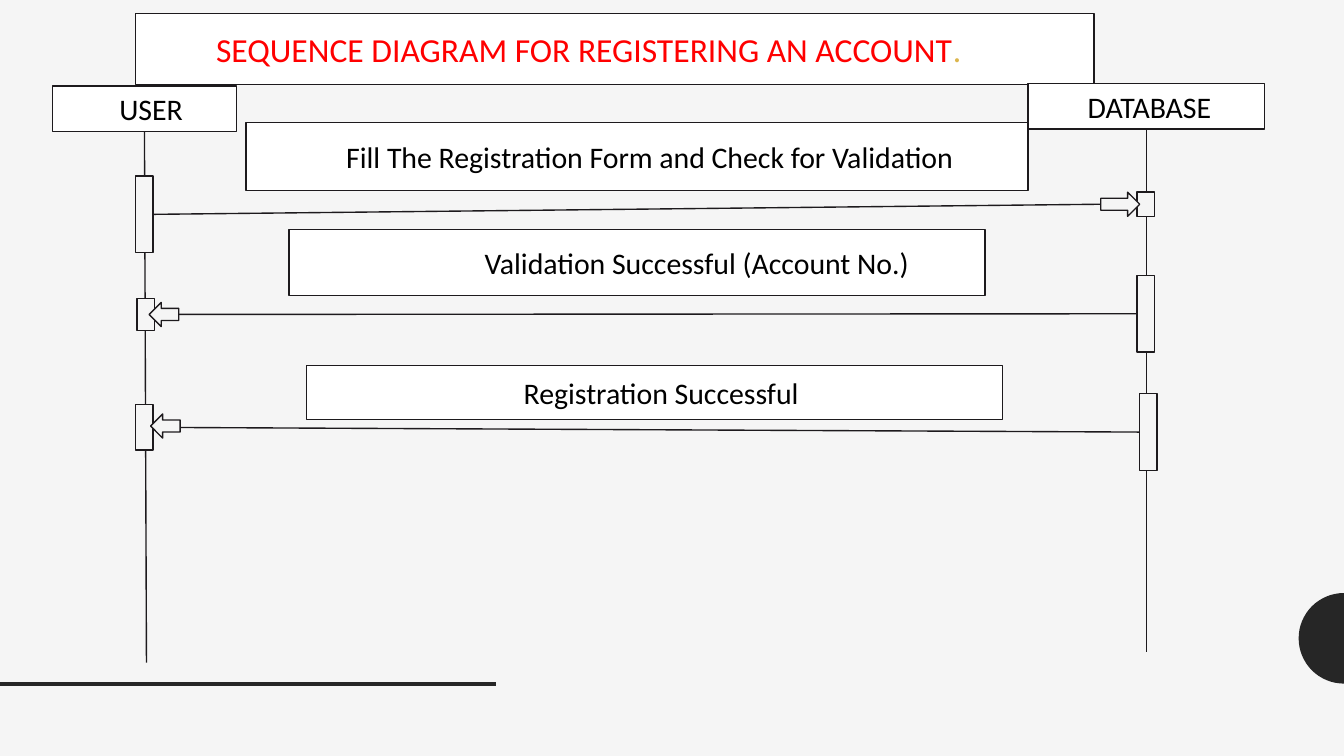
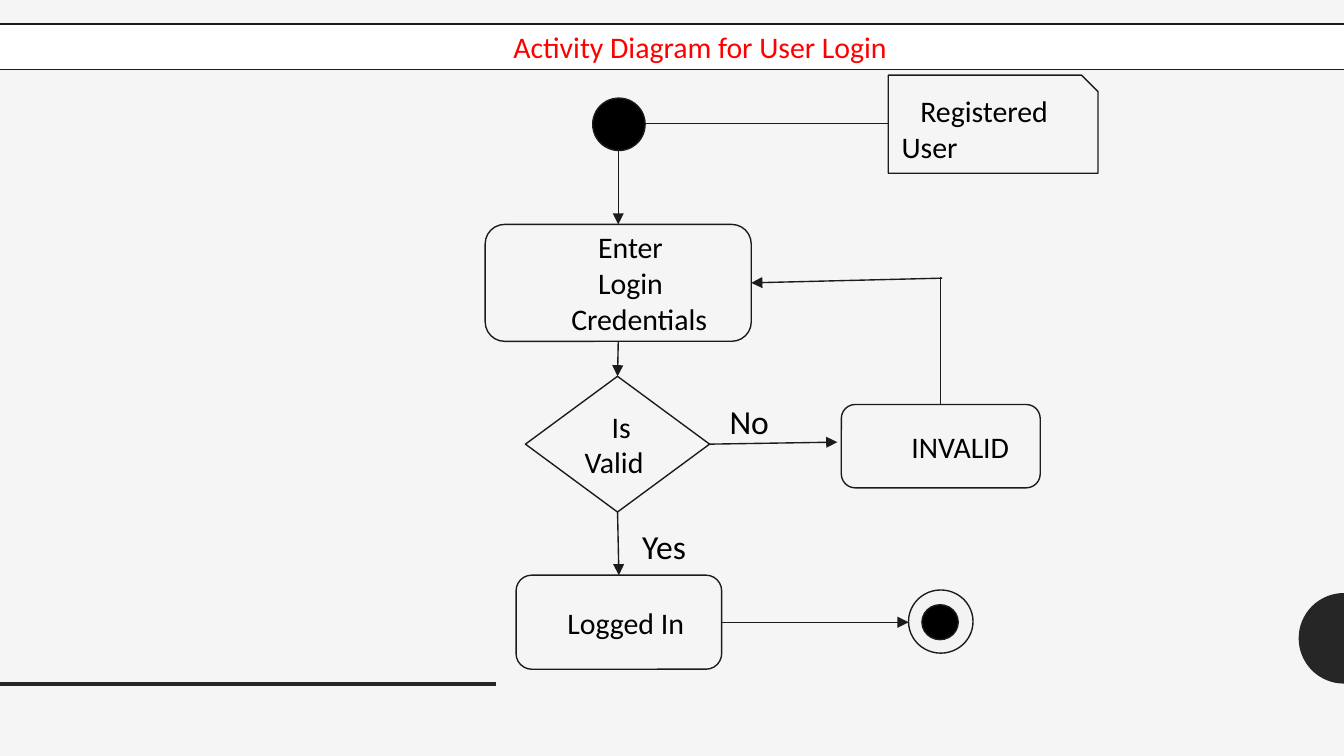
from math import cos, pi, sin

from lxml.etree import SubElement
from pptx import Presentation
from pptx.dml.color import RGBColor
from pptx.enum.shapes import MSO_CONNECTOR, MSO_SHAPE as Shape
from pptx.enum.text import MSO_ANCHOR as Anchor, PP_ALIGN as Align
from pptx.oxml.ns import qn
from pptx.util import Inches, Pt

# The grid has square cells, 100 columns by 56.25 rows
CELL = Inches(0.1)
COLUMNS, ROWS = 100, 56.25
TOP, LEFT, BOTTOM, RIGHT = range(4)

PAPER = RGBColor(0xF5, 0xF5, 0xF5)
WHITE = RGBColor(0xFF, 0xFF, 0xFF)
BLACK = RGBColor(0x00, 0x00, 0x00)
INK = RGBColor(0x1D, 0x1A, 0x1D)
BAND = RGBColor(0x26, 0x26, 0x26)
RED = RGBColor(0xFF, 0x00, 0x00)
GOLD = RGBColor(0xDC, 0xB6, 0x4D)
RING = RGBColor(0xF3, 0xF3, 0xF3)


def cells(count):
    return round(count * CELL)


class Diagram:
    """Holds the style and the slide being drawn; lengths are grid cells."""

    font = "Calibri"
    size = 16
    outline = 0.75

    def __init__(self):
        self.deck = Presentation()
        self.deck.slide_width = cells(COLUMNS)
        self.deck.slide_height = cells(ROWS)

    def new_slide(self):
        self.slide = self.deck.slides.add_slide(self.deck.slide_layouts[6])
        self.shapes = self.slide.shapes
        background = self.slide.background.fill
        background.solid()
        background.fore_color.rgb = PAPER
        self.half_disc(COLUMNS, 47.5, 3.37)
        self.line((0, 50.9), (36.9, 50.9), color=BAND, width=2)

    def half_disc(self, x, y, radius, steps=32):
        angles = [pi / 2 + pi * step / steps for step in range(steps + 1)]
        rim = [(cells(x + radius * cos(a)), cells(y + radius * sin(a))) for a in angles]
        builder = self.shapes.build_freeform(*rim[0])
        builder.add_line_segments(rim[1:], close=True)
        disc = builder.convert_to_shape()
        disc.shadow.inherit = False
        disc.fill.solid()
        disc.fill.fore_color.rgb = BAND
        disc.line.fill.background()

    def box(self, place, text=None, kind=Shape.RECTANGLE, fill=PAPER, **style):
        box = self.shapes.add_shape(kind, *map(cells, place))
        box.shadow.inherit = False
        box.fill.solid()
        box.fill.fore_color.rgb = fill
        box.line.color.rgb = INK
        box.line.width = Pt(self.outline)
        if text:
            self.add_text(box, [[(text, BLACK)]] if isinstance(text, str) else text, **style)
        return box

    def label(self, place, text, size):
        note = self.shapes.add_textbox(*map(cells, place))
        self.add_text(note, [[(text, BLACK)]], size=size, anchor=Anchor.TOP)

    def add_text(self, holder, paragraphs, size=size, align=Align.LEFT,
                 anchor=Anchor.MIDDLE, margins=(0,), first=0):
        """Fill holder with paragraphs, each a list of (text, colour) runs."""
        frame = holder.text_frame
        frame.word_wrap = True
        frame.vertical_anchor = anchor
        frame.margin_left = frame.margin_right = CELL
        frame.margin_top = frame.margin_bottom = CELL
        for index, runs in enumerate(paragraphs):
            paragraph = frame.add_paragraph() if index else frame.paragraphs[0]
            paragraph.alignment = align
            properties = paragraph._p.get_or_add_pPr()
            properties.set("marL", str(cells(margins[index % len(margins)])))
            properties.set("indent", str(cells(first)))
            for text, color in runs:
                run = paragraph.add_run()
                run.text = text
                run.font.name = self.font
                run.font.size = Pt(size)
                run.font.color.rgb = color

    def line(self, start, stop, arrow=False, color=INK, width=outline):
        """Each end is a grid point or a (shape, side) pair."""
        joined = [not isinstance(end[0], (int, float)) for end in (start, stop)]
        points = [(0, 0) if join else tuple(map(cells, end))
                  for join, end in zip(joined, (start, stop))]
        line = self.shapes.add_connector(MSO_CONNECTOR.STRAIGHT, *points[0], *points[1])
        if joined[0]:
            line.begin_connect(*start)
        if joined[1]:
            line.end_connect(*stop)
        line.line.color.rgb = color
        line.line.width = Pt(width)
        if arrow:
            SubElement(line.line._get_or_add_ln(), qn("a:tailEnd"), type="triangle")
        SubElement(line._element.spPr, qn("a:effectLst"))


def registration_sequence(draw):
    draw.new_slide()
    draw.box((10.1, 1, 71.3, 5.3),
             [[("SEQUENCE DIAGRAM FOR REGISTERING AN ACCOUNT", RED), (".", GOLD)]],
             fill=WHITE, size=18, margins=(5,))

    # Participants and their lifelines
    user = draw.box((3.9, 6.4, 13.7, 3.4), "USER", fill=WHITE, margins=(4,))
    database = draw.box((76.5, 6.2, 17.6, 3.4), "DATABASE", fill=WHITE, margins=(3.45,))
    draw.line((user, BOTTOM), (10.9, 49.3))
    draw.line((database, BOTTOM), (85.3, 48.5))

    # Messages: user bar, database bar (left, top, height), label, shift, arrow
    forward, back = Shape.RIGHT_ARROW, Shape.LEFT_ARROW
    messages = [
        ((10.1, 13.1, 5.7), (84.6, 14.3, 1.8),
         "Fill The Registration Form and Check for Validation",
         (18.3, 9.1, 58.2, 5.1), 1.9, forward, (81.9, 14.3, 2.9, 1.8)),
        ((10.2, 22.2, 2.4), (84.6, 20.5, 5.7),
         "Validation Successful (Account No.)",
         (21.5, 17.1, 51.8, 4.9), 8.9, back, (11.1, 22.5, 2.2, 1.8)),
        ((10.1, 30.1, 3.4), (84.8, 29.3, 5.7),
         "Registration Successful",
         (22.8, 27.2, 51.8, 4), 1, back, (11.2, 30.8, 2.2, 1.8)),
    ]
    bar_width = 1.3
    for user_bar, database_bar, text, place, shift, heading, arrow in messages:
        sender, receiver = (draw.box((left, top, bar_width, height))
                            for left, top, height in (user_bar, database_bar))
        left, top, _, height = arrow
        stop = (left, top + height / 2) if heading is forward else (receiver, LEFT)
        draw.line((sender, RIGHT), stop)
        draw.box(place, text, fill=WHITE, align=Align.CENTER, margins=(shift,))
        draw.box(arrow, kind=heading)


def login_activity(draw):
    draw.new_slide()
    draw.box((-0.6, 1.8, 101, 3.4), [[("Activity Diagram for User Login", RED)]],
             fill=WHITE, align=Align.CENTER, margins=(4.4,))

    # Steps, from start to finish
    rounded = Shape.ROUNDED_RECTANGLE
    draw.box((44.1, 7.3, 3.9, 3.9), kind=Shape.FLOWCHART_CONNECTOR, fill=BLACK)
    credentials = draw.box((36.1, 16.7, 19.8, 8.7),
                           [[(word, BLACK)] for word in ("Enter", "Login", "Credentials")],
                           rounded, margins=(7, 7, 5))
    decision = draw.box((39.1, 28, 13.7, 10.1), "Is Valid", Shape.DIAMOND, first=2)
    invalid = draw.box((62.6, 30.1, 14.8, 6.2), "INVALID", rounded,
                       align=Align.CENTER, margins=(2.9,))
    logged_in = draw.box((38.4, 42.8, 15.3, 7), "Logged In", rounded, margins=(2.5,))
    draw.box((67.6, 43.9, 4.8, 4.7), kind=Shape.OVAL, fill=RING)
    draw.box((68.6, 45, 2.7, 2.6), kind=Shape.OVAL, fill=BLACK)
    draw.box((66.1, 5.6, 15.6, 7.3), "Registered User",
             Shape.SNIP_1_RECTANGLE, first=1.4)

    # Flow
    draw.line((48, 9.2), (66.1, 9.2))
    draw.line((invalid, TOP), (70, 20.6))
    for start, stop in [
        ((46, 11.1), (credentials, TOP)),
        ((credentials, BOTTOM), (decision, TOP)),
        ((decision, RIGHT), (62.3, 32.9)),
        ((70.1, 20.7), (credentials, RIGHT)),
        ((decision, BOTTOM), (logged_in, TOP)),
        ((logged_in, RIGHT), (67.6, 46.3)),
    ]:
        draw.line(start, stop, arrow=True)

    # Answers
    draw.label((53.3, 28.8, 6.5, 3.9), "No", 18)
    draw.label((46.8, 38.1, 6.5, 3.9), "Yes", 18)


def main():
    draw = Diagram()
    registration_sequence(draw)
    login_activity(draw)
    draw.deck.save("out.pptx")


if __name__ == "__main__":
    main()
